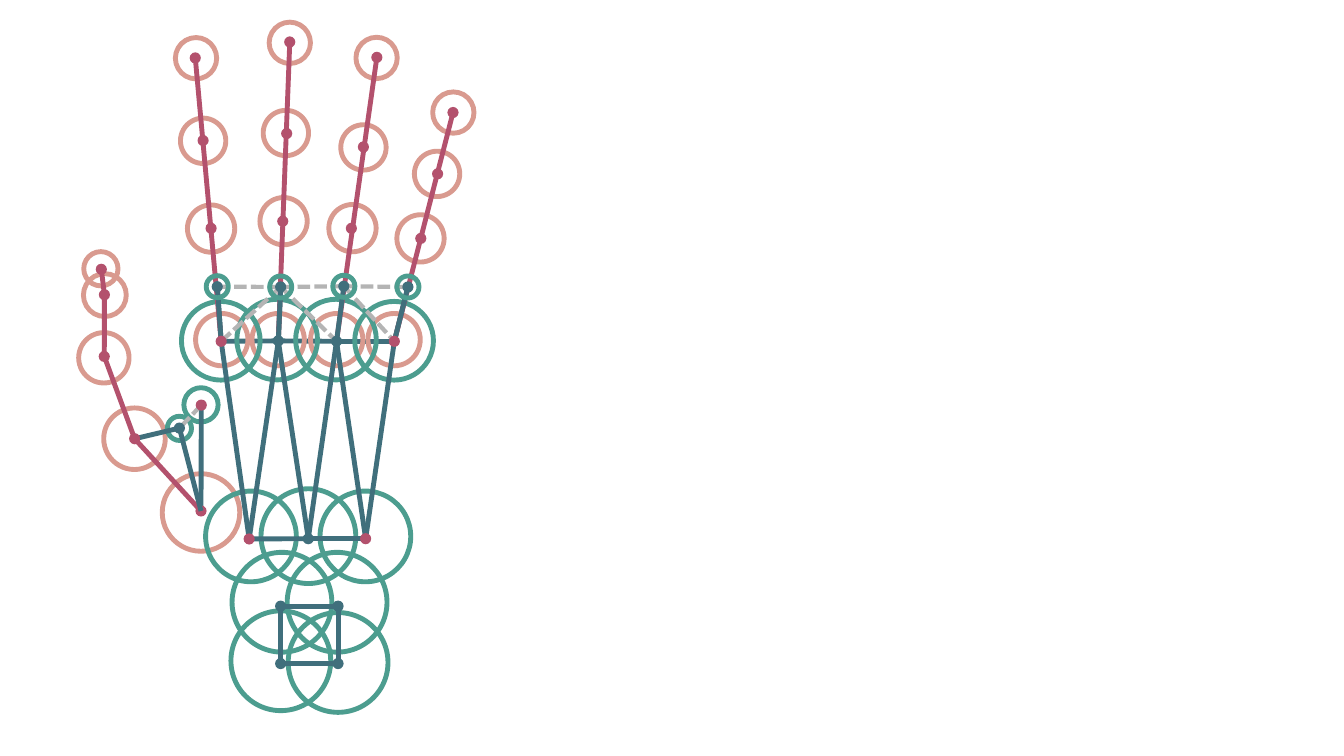
from itertools import pairwise
from pptx import Presentation
from pptx.dml.color import RGBColor
from pptx.enum.dml import MSO_LINE_DASH_STYLE as DASH
from pptx.enum.shapes import MSO_CONNECTOR, MSO_SHAPE
from pptx.oxml.ns import qn
from pptx.util import Pt

TEAL = RGBColor(0x40, 0x6F, 0x7C)
DARK_TEAL = RGBColor(0x33, 0x59, 0x63)
GREEN = RGBColor(0x4C, 0x9D, 0x8F)
SALMON = RGBColor(0xD9, 0x9A, 0x8F)
CRIMSON = RGBColor(0xB3, 0x51, 0x6D)
GRAY = RGBColor(0xB4, 0xB4, 0xB4)
STROKE, DASHED_STROKE = 3.5, 3
DOT = 8

presentation = Presentation()
presentation.slide_width, presentation.slide_height = Pt(960), Pt(540)
slide = presentation.slides.add_slide(presentation.slide_layouts[6])

joints = {
    "index tip": (139.5, 41.4), "index mid": (145.1, 100.4), "index base": (150.8, 163.1),
    "index hinge": (155.2, 204.8), "index knuckle": (158, 243.8),
    "middle tip": (207, 30), "middle mid": (204.8, 95.4), "middle base": (202, 158),
    "middle hinge": (200.5, 205), "middle knuckle": (198.8, 243.5),
    "ring tip": (269.2, 41), "ring mid": (259.6, 105), "ring base": (251, 163.1),
    "ring hinge": (245.6, 204.5), "ring knuckle": (240.4, 243.8),
    "little tip": (323.6, 80.4), "little mid": (312.6, 124.2), "little base": (300.6, 170.3),
    "little hinge": (291.4, 205), "little knuckle": (281.7, 243.8),
    "thumb tip": (72.4, 192.4), "thumb mid": (74.6, 210.6), "thumb base": (74.5, 254.6),
    "thumb knuckle": (96.2, 313.4), "thumb root": (143.6, 365),
    "web": (143.8, 289.4), "pivot": (128.2, 305.8),
    "palm left": (178, 385), "palm middle": (220.2, 384.8), "palm right": (261.2, 384.8),
    "wrist top left": (200.5, 433), "wrist top right": (241.5, 433),
    "wrist bottom right": (241.5, 474), "wrist bottom left": (200.5, 474),
}
fingers = ["index", "middle", "ring", "little"]
knuckles = [f"{finger} knuckle" for finger in fingers]
hinges = [f"{finger} hinge" for finger in fingers]
palm = ["palm left", "palm middle", "palm right"]
wrist = [name for name in joints if name.startswith("wrist")]
finger_joints = [f"{finger} {part}" for finger in fingers for part in ("tip", "mid", "base")]
thumb = ["thumb tip", "thumb mid", "thumb base", "thumb knuckle", "thumb root"]
hinge_links = [[hinge, knuckle] for hinge, knuckle in zip(hinges, knuckles)]
palm_zigzag = ["index knuckle", "palm left", "middle knuckle", "palm middle",
               "ring knuckle", "palm right", "little knuckle"]

layers = [
    ("path", TEAL, [knuckles]),
    ("path", GRAY, [hinges]),
    ("ring", SALMON, [(74.2, 255.6, 36), (96.1, 313.4, 44), (143.6, 366.1, 55.4)]),
    ("ring", SALMON, [(x, 242.6, 37.4) for x in (281.5, 240.5, 198.7, 158.4)]),
    ("ring", GREEN, [(281.5, 243.4, 56.2), (240, 242.6, 57.6),
                     (198, 242.6, 57.6), (157.7, 243.4, 56.2)]),
    ("path", DARK_TEAL, [hinge_links[0], hinge_links[3], hinge_links[1]]),
    ("ring", SALMON, [(150.8, 163.3, 33.8), (202.6, 158, 33.8),
                      (251.8, 163, 33.8), (300.4, 170.3, 33.8)]),
    ("ring", SALMON, [(145.1, 100.6, 32.4), (204.2, 95, 32.4),
                      (259.6, 105.3, 32.4), (312.2, 124.2, 32.4)]),
    ("ring", SALMON, [(140, 41.6, 29.5), (207, 30.6, 29.5),
                      (269, 41.4, 29.5), (323.8, 80.4, 29.5)]),
    ("ring", GREEN, [(240.8, 430.2, 71.3), (201.4, 430.2, 71.3),
                     (241.5, 473.2, 71.3), (200.6, 472, 71.3)]),
    ("path", CRIMSON, [[f"{finger} tip", f"{finger} knuckle"] for finger in reversed(fingers)]),
    ("ring", GREEN, [(128.2, 306, 17.3)]),
    ("path", CRIMSON, [thumb[3:]]),
    ("path", TEAL, [["pivot", "thumb knuckle"]]),
    ("ring", SALMON, [(74.9, 210.8, 30.6), (72.1, 192, 24.5)]),
    ("path", CRIMSON, [thumb[:2]]),
    ("ring", GREEN, [(143.6, 289.2, 24.5), (220.3, 383, 67.7),
                     (261, 383.2, 64.8), (179.3, 383.2, 64.8)]),
    ("path", TEAL, [palm_zigzag, palm]),
    ("path", CRIMSON, [thumb[1:4]]),
    ("path", GRAY, [["index knuckle", "middle hinge"]]),
    ("path", TEAL, [wrist + wrist[:1], ["web", "thumb root"]]),
    ("dot", TEAL, wrist + ["palm middle", "middle knuckle"]),
    ("dot", CRIMSON, finger_joints + thumb),
    ("path", TEAL, [["pivot", "thumb root"]]),
    ("path", GRAY, [["ring hinge", "little knuckle"], ["middle hinge", "ring knuckle"]]),
    ("dot", TEAL, ["ring knuckle"] + hinges),
    ("path", TEAL, hinge_links),
    ("ring", GREEN, [(*joints[hinge], 15.8) for hinge in hinges]),
    ("dot", CRIMSON, ["palm right", "palm left", "index knuckle", "little knuckle"]),
    ("path", GRAY, [["web", "pivot"]]),
    ("dot", CRIMSON, ["web"]),
    ("dot", TEAL, ["pivot"]),
]


def add_circle(x, y, diameter):
    shape = slide.shapes.add_shape(MSO_SHAPE.OVAL, Pt(x - diameter / 2), Pt(y - diameter / 2),
                                   Pt(diameter), Pt(diameter))
    shape.shadow.inherit = False
    return shape


def add_bone(start, end, color):
    connector = slide.shapes.add_connector(
        MSO_CONNECTOR.STRAIGHT, *[Pt(value) for value in joints[start] + joints[end]])
    dashed = color == GRAY
    style = {"width": Pt(DASHED_STROKE if dashed else STROKE),
             "dash_style": DASH.SQUARE_DOT if dashed else None}
    connector.line.color.rgb = color
    for attribute, value in style.items():
        setattr(connector.line, attribute, value)
    properties = connector._element.spPr
    properties.append(properties.makeelement(qn("a:effectLst"), {}))


for kind, color, items in layers:
    for item in items:
        if kind == "path":
            for start, end in pairwise(item):
                add_bone(start, end, color)
        elif kind == "ring":
            ring = add_circle(*item)
            ring.fill.background()
            ring.line.color.rgb = color
            ring.line.width = Pt(STROKE)
        else:
            dot = add_circle(*joints[item], DOT)
            dot.fill.solid()
            dot.fill.fore_color.rgb = color
            dot.line.fill.background()

presentation.save("out.pptx")
